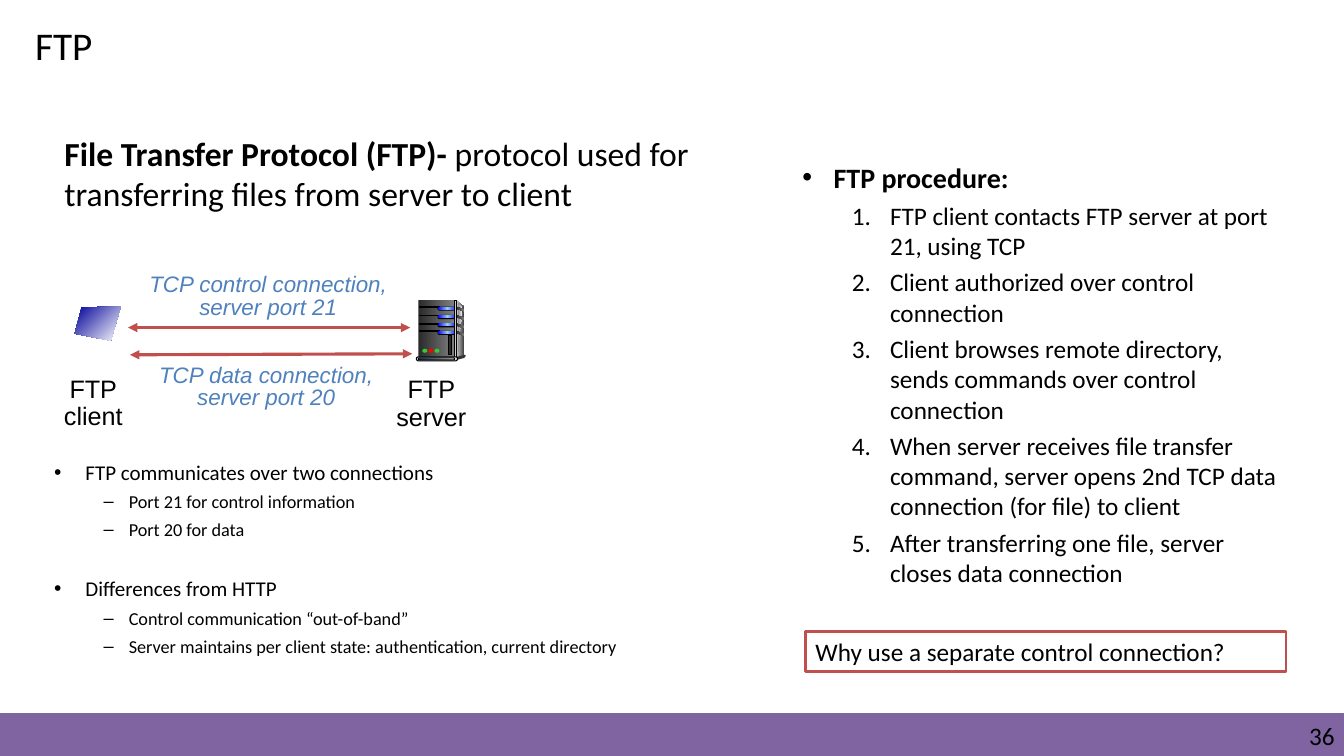
from copy import deepcopy

from lxml.etree import SubElement
from pptx import Presentation
from pptx.dml.color import RGBColor
from pptx.enum.shapes import MSO_CONNECTOR, MSO_SHAPE
from pptx.enum.text import MSO_ANCHOR, PP_ALIGN
from pptx.oxml.ns import qn
from pptx.util import Emu, Inches, Pt

COLS, ROWS = 160, 90
CELL = Inches(7.5) // ROWS

BLACK = RGBColor(0x00, 0x00, 0x00)
WHITE = RGBColor(0xFF, 0xFF, 0xFF)
PURPLE = RGBColor(0x80, 0x64, 0xA2)
RED = RGBColor(0xC0, 0x50, 0x4D)
BLUE = RGBColor(0x4F, 0x81, 0xBD)
NAVY = RGBColor(0x00, 0x00, 0x99)
COAL = RGBColor(0x29, 0x29, 0x29)
DARK = RGBColor(0x33, 0x33, 0x33)
GREY = RGBColor(0x80, 0x80, 0x80)
SILVER = RGBColor(0xDD, 0xDD, 0xDD)
PALE = RGBColor(0xF8, 0xF8, 0xF8)
GLOW = RGBColor(0x00, 0x00, 0xFF)
SKY = RGBColor(0x99, 0xCC, 0xFF)
LED_GREEN = RGBColor(0x33, 0xCC, 0x33)
LED_RED = RGBColor(0xFF, 0x00, 0x00)
SLATE = RGBColor(0x1F, 0x49, 0x7D)
CREAM = RGBColor(0xEE, 0xEC, 0xE1)

TITLE = {"font": {"name": "Calibri", "size": Pt(28)}}
DEFINITION = {"font": {"name": "Calibri", "size": Pt(24)}}
PLAIN = {"font": {"name": "Calibri", "size": Pt(18)}}
NUMBER = {**PLAIN, "para": {"alignment": PP_ALIGN.RIGHT}}
HOST = {"font": {"name": "Arial", "size": Pt(18)},
        "para": {"alignment": PP_ALIGN.CENTER, "line_spacing": 0.9}}
LINK = {"font": {"name": "Arial", "size": Pt(16), "italic": True}, "color": BLUE,
        "para": {"alignment": PP_ALIGN.CENTER, "line_spacing": 0.85}}
TOPIC = {"font": {"name": "Calibri", "size": Pt(15)}, "bullet": ("•", 0.38, -0.31)}
NEXT_TOPIC = {**TOPIC, "para": {"space_before": Pt(25)}}
DETAIL = {"font": {"name": "Calibri", "size": Pt(13)}, "bullet": ("–", 0.81, -0.25),
          "para": {"level": 1, "space_before": Pt(4.4)}}
PROCEDURE = {"font": {"name": "Calibri", "size": Pt(20), "bold": True},
             "bullet": ("•", 0.38, -0.31)}
STEP = {**PLAIN, "bullet": (None, 0.94, -0.38),
        "para": {"level": 1, "space_before": Pt(4.4)}}


def cells(*values):
    """Turn grid counts into lengths."""
    return [Emu(round(v * CELL)) for v in values]


def set_all(target, values):
    """Set attributes from a dict."""
    for key, value in values.items():
        setattr(target, key, value)


def paint(sp, colors, line=None, width=0.75, angle=0):
    """Fill with one colour or an even gradient, and set the outline."""
    sp.shadow.inherit = False
    if len(colors) == 1:
        sp.fill.solid()
        sp.fill.fore_color.rgb = colors[0]
    else:
        sp.fill.gradient()
        sp.fill.gradient_angle = angle
        stops = sp._element.spPr.find(qn("a:gradFill")).find(qn("a:gsLst"))
        for _ in colors[2:]:
            stops.append(deepcopy(stops[0]))
        for i, (stop, color) in enumerate(zip(sp.fill.gradient_stops, colors)):
            stop.color.rgb = color
            stop.position = i / (len(colors) - 1)
    if line is None:
        sp.line.fill.background()
    else:
        sp.line.color.rgb = line
        sp.line.width = Pt(width)


def add_block(shapes, kind, box, *colors, line=None, width=0.75):
    """Add a preset shape on the grid."""
    sp = shapes.add_shape(kind, *cells(*box))
    if kind == MSO_SHAPE.ROUNDED_RECTANGLE:
        sp.adjustments[0] = 0.5
    paint(sp, colors, line, width)
    return sp


def add_outline(shapes, points, *colors, angle=0):
    """Add a closed polygon on the grid."""
    start, *rest = [(x * 100, y * 100) for x, y in points]
    builder = shapes.build_freeform(*start, scale=CELL / 100)
    builder.add_line_segments(rest, close=True)
    paint(builder.convert_to_shape(), colors, angle=angle)


def add_bullet(p, mark, margin, indent):
    """Give a paragraph a bullet, or a number when there is no mark."""
    pPr = p._p.get_or_add_pPr()
    pPr.set("marL", str(Inches(margin)))
    pPr.set("indent", str(Inches(indent)))
    if mark:
        SubElement(pPr, qn("a:buFont"), typeface="Arial")
        SubElement(pPr, qn("a:buChar"), char=mark)
    else:
        SubElement(pPr, qn("a:buFont"), typeface="+mj-lt")
        SubElement(pPr, qn("a:buAutoNum"), type="arabicPeriod")


def write(tf, *paragraphs):
    """Write (style, run, ...) paragraphs into a text frame."""
    for i, (style, *runs) in enumerate(paragraphs):
        p = tf.add_paragraph() if i else tf.paragraphs[0]
        if "bullet" in style:
            add_bullet(p, *style["bullet"])
        set_all(p, style.get("para", {}))
        for j, text in enumerate(runs):
            r = p.add_run()
            r.text = text
            set_all(r.font, style["font"])
            r.font.color.rgb = style.get("color", BLACK)
            if len(runs) > 1:
                r.font.bold = j == 0


def add_text(slide, box, *paragraphs, margin=None):
    """Add a wrapping text box on the grid."""
    tf = slide.shapes.add_textbox(*cells(*box)).text_frame
    tf.word_wrap = True
    if margin is not None:
        set_all(tf, {f"margin_{side}": margin for side in ("left", "top", "right", "bottom")})
    write(tf, *paragraphs)


def add_arrow(slide, *ends):
    """Add a line with an arrowhead at both ends."""
    cx = slide.shapes.add_connector(MSO_CONNECTOR.STRAIGHT, *cells(*ends))
    cx.line.color.rgb = RED
    cx.line.width = Pt(2.25)
    ln = cx.line._get_or_add_ln()
    for end in ("a:headEnd", "a:tailEnd"):
        SubElement(ln, qn(end), type="triangle")
    SubElement(cx._element.spPr, qn("a:effectLst"))


def add_server(slide):
    """Draw the server tower as one group."""
    shapes = slide.shapes.add_group_shape().shapes
    rect, pill, oval = MSO_SHAPE.RECTANGLE, MSO_SHAPE.ROUNDED_RECTANGLE, MSO_SHAPE.OVAL
    add_outline(shapes, [(54.36, 35.76), (55.32, 36.6), (55.32, 42.24), (54.24, 42.6)],
                SILVER, DARK)
    add_block(shapes, rect, (49.8, 35.76, 4.32, 6.84), COAL, GREY)
    add_outline(shapes, [(54.48, 36.12), (55.08, 36.72), (54.72, 39.5), (54.48, 42.36)],
                GREY, PALE)
    for row in (36.5, 37.5, 38.5, 39.4):
        add_block(shapes, rect, (49.92, row, 2.4, 0.12), BLACK, line=BLACK)
        add_block(shapes, pill, (52.08, row, 2.4, 0.48), BLACK)
        add_block(shapes, pill, (52.14, row, 2.28, 0.36), GLOW, SKY, GLOW)
        add_outline(shapes, [(54.3, row), (55.32, row + 0.36), (55.32, row + 0.6),
                             (54.3, row + 0.24)], COAL, GREY)
    add_block(shapes, rect, (54.12, 35.76, 0.24, 6.84), DARK, SILVER, DARK, line=BLACK)
    add_block(shapes, oval, (55.2, 42.24, 0.24, 0.24), DARK)
    add_outline(shapes, [(54.36, 42.48), (54.36, 42.84), (55.32, 42.6), (55.32, 42.24)], DARK)
    add_block(shapes, pill, (49.56, 42.48, 4.92, 0.48), SILVER, line=BLACK)
    add_block(shapes, pill, (49.8, 42.6, 4.32, 0.24), SLATE, CREAM, line=BLACK)
    for i, color in enumerate((LED_GREEN, LED_RED, LED_GREEN)):
        add_block(shapes, oval, (50.28 + 0.72 * i, 41.52, 0.6, 0.48), color)
    add_block(shapes, rect, (53.4, 39.96, 0.36, 2.28), COAL, line=BLACK)


def main():
    """Build the FTP slide."""
    prs = Presentation()
    prs.slide_width, prs.slide_height = cells(COLS, ROWS)
    slide = prs.slides.add_slide(prs.slide_layouts[6])
    add_block(slide.shapes, MSO_SHAPE.RECTANGLE, (0, 85, COLS, 5), PURPLE, line=PURPLE)
    add_text(slide, (122, 85.8, 36.9, 3.6), (NUMBER, "36"), margin=0)
    add_text(slide, (3, 2, 11.3, 6.8), (TITLE, "FTP"))
    add_text(slide, (6.5, 15.2, 84, 10.9),
             (DEFINITION, "File Transfer Protocol (FTP)- ",
              "protocol used for transferring files from server to client"))

    add_text(slide, (6.36, 44.2, 9.5, 7.8), (HOST, "FTP"), (HOST, "client"))
    add_text(slide, (45.96, 44.3, 10.8, 7.8), (HOST, "FTP"), (HOST, "server"))
    add_arrow(slide, 15.24, 39, 48.84, 39)
    add_arrow(slide, 15.48, 42.24, 49.08, 42.12)
    add_text(slide, (16.08, 32.04, 31.7, 6.7),
             (LINK, "TCP control connection,"), (LINK, "server port 21"))
    add_text(slide, (15.84, 42.84, 31.7, 6.7),
             (LINK, "TCP data connection,"), (LINK, "server port 20"))
    add_server(slide)
    add_outline(slide.shapes, [(14.4, 36.48), (9.72, 36.6), (8.88, 39.72), (13.2, 40.56)],
                NAVY, WHITE, angle=315)

    add_text(slide, (4.44, 54.1, 75.6, 28.2),
             (TOPIC, "FTP communicates over two connections"),
             (DETAIL, "Port 21 for control information"),
             (DETAIL, "Port 20 for data"),
             (NEXT_TOPIC, "Differences from HTTP"),
             (DETAIL, "Control communication “out-of-band”"),
             (DETAIL, "Server maintains per client state: authentication, current directory"))
    add_text(slide, (93.5, 18.5, 59.8, 63.4),
             (PROCEDURE, "FTP procedure:"),
             (STEP, "FTP client contacts FTP server at port 21, using TCP"),
             (STEP, "Client authorized over control connection"),
             (STEP, "Client browses remote directory, sends commands over control connection"),
             (STEP, "When server receives file transfer command, server opens 2nd TCP data "
                    "connection (for file) to client"),
             (STEP, "After transferring one file, server closes data connection"))
    question = add_block(slide.shapes, MSO_SHAPE.RECTANGLE, (95.9, 75.2, 57.2, 4.8),
                         WHITE, line=RED, width=2)
    tf = question.text_frame
    set_all(tf, {"word_wrap": True, "vertical_anchor": MSO_ANCHOR.MIDDLE})
    write(tf, ({**PLAIN, "para": {"alignment": PP_ALIGN.LEFT}},
               "Why use a separate control connection?"))
    prs.save("out.pptx")


if __name__ == "__main__":
    main()
